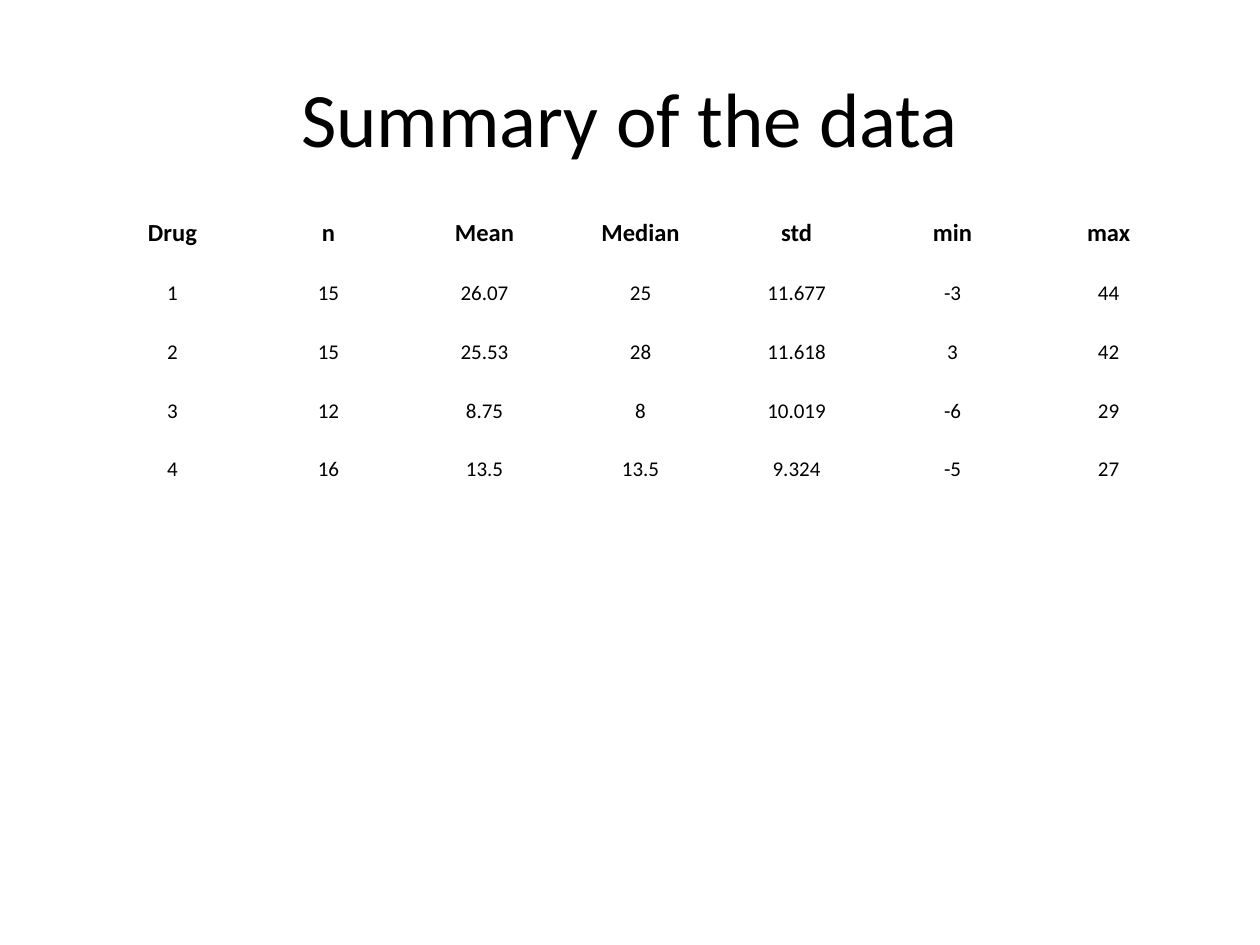
from pptx import Presentation
from pptx.dml.color import RGBColor
from pptx.enum.text import MSO_ANCHOR, PP_ALIGN
from pptx.util import Inches, Pt

CENTER = PP_ALIGN.CENTER
MIDDLE = MSO_ANCHOR.MIDDLE
BOTTOM = MSO_ANCHOR.BOTTOM


def rgb(color):
    return RGBColor.from_string(color)


class Deck:
    """Holds the text style and the current slide."""

    font = "Calibri"
    color = "000000"

    def __init__(self, slide):
        self.s = slide

    def add_text(self, tf, text, size, bold=False):
        p = tf.paragraphs[0]
        p.alignment = CENTER
        r = p.add_run()
        r.text = text
        r.font.name = self.font
        r.font.size = Pt(size)
        r.font.bold = bold
        r.font.color.rgb = rgb(self.color)

    def title(self, text, x, y, w, h, size):
        sp = self.s.shapes.add_textbox(Inches(x), Inches(y), Inches(w), Inches(h))
        tf = sp.text_frame
        tf.word_wrap = True
        tf.vertical_anchor = MIDDLE
        self.add_text(tf, text, size)

    def table(self, rows, x, y, w, h, head_size, body_size):
        table = self.s.shapes.add_table(
            len(rows), len(rows[0]), Inches(x), Inches(y), Inches(w), Inches(h)
        ).table
        table.first_row = False
        table.horz_banding = False
        for i, row in enumerate(rows):
            for j, text in enumerate(row):
                cell = table.cell(i, j)
                cell.fill.background()
                cell.vertical_anchor = BOTTOM
                cell.margin_left = cell.margin_right = cell.margin_top = Inches(0.01)
                cell.margin_bottom = 0
                size = body_size if i else head_size
                self.add_text(cell.text_frame, text, size, bold=i == 0)


SUMMARY = [
    ("Drug", "n", "Mean", "Median", "std", "min", "max"),
    ("1", "15", "26.07", "25", "11.677", "-3", "44"),
    ("2", "15", "25.53", "28", "11.618", "3", "42"),
    ("3", "12", "8.75", "8", "10.019", "-6", "29"),
    ("4", "16", "13.5", "13.5", "9.324", "-5", "27"),
]

prs = Presentation()
prs.slide_width = Inches(10)
prs.slide_height = Inches(7.5)
deck = Deck(prs.slides.add_slide(prs.slide_layouts[6]))
deck.title("Summary of the data", 0.5, 0.3, 9, 1.25, 44)
deck.table(SUMMARY, 0.75, 1.5, 8.67, 2.33, 14, 12)
prs.save("out.pptx")
